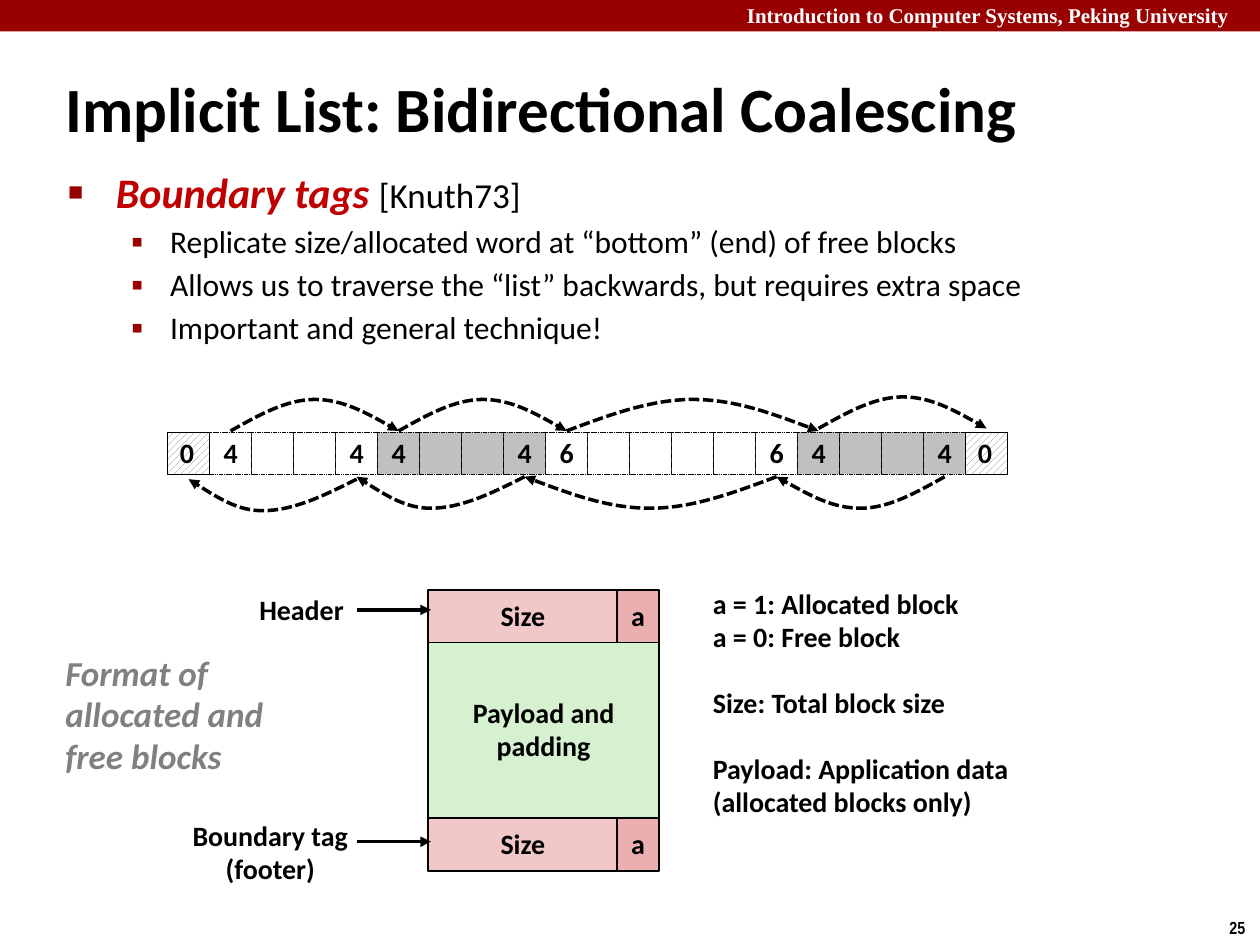
from lxml import etree
from pptx import Presentation
from pptx.dml.color import RGBColor
from pptx.enum.dml import MSO_LINE, MSO_PATTERN
from pptx.enum.shapes import MSO_CONNECTOR, MSO_SHAPE
from pptx.enum.text import MSO_ANCHOR, MSO_AUTO_SIZE, PP_ALIGN
from pptx.oxml.ns import qn
from pptx.util import Inches, Pt

RECTANGLE = MSO_SHAPE.RECTANGLE
STRAIGHT = MSO_CONNECTOR.STRAIGHT
DASH = MSO_LINE.SQUARE_DOT
HATCH = MSO_PATTERN.WIDE_UPWARD_DIAGONAL
MIDDLE, TOP = MSO_ANCHOR.MIDDLE, MSO_ANCHOR.TOP
LEFT, CENTER = PP_ALIGN.LEFT, PP_ALIGN.CENTER
NO_FIT = MSO_AUTO_SIZE.NONE

BLACK = RGBColor(0x00, 0x00, 0x00)
WHITE = RGBColor(0xFF, 0xFF, 0xFF)
BANNER_RED = RGBColor(0x99, 0x00, 0x00)
TERM_RED = RGBColor(0xC0, 0x00, 0x00)
GRAY = RGBColor(0x80, 0x80, 0x80)
ALLOCATED_GRAY = RGBColor(0xC0, 0xC0, 0xC0)
SIZE_PINK = RGBColor(0xF1, 0xC7, 0xC7)
FLAG_PINK = RGBColor(0xEB, 0xAF, 0xAF)
PAYLOAD_GREEN = RGBColor(0xD5, 0xF1, 0xCF)

CELL = 1 / 3
BLOCKS = [(4, False), (4, True), (6, False), (4, True)]


def style_font(font, size, color=BLACK, bold=True, italic=False, name="Calibri"):
    """Set the look of a run's font."""
    font.name, font.size, font.bold, font.italic = name, Pt(size), bold, italic
    font.color.rgb = color


def write_text(shape, text, size=16, align=LEFT, anchor=TOP, spacing=0.98, **look):
    """Write unwrapped lines of text into a shape."""
    frame = shape.text_frame
    frame.text = text
    frame.word_wrap = False
    frame.vertical_anchor = anchor
    for para in frame.paragraphs:
        para.alignment = align
        para.line_spacing = spacing
        for span in para.runs:
            style_font(span.font, size, **look)
    return frame


def add_label(page, box, text, **look):
    """Add a text box at the given box."""
    label = page.shapes.add_textbox(*map(Inches, box))
    return write_text(label, text, **look)


def add_cell(page, box, fill, text="", line_width=1.0, align=CENTER):
    """Add an outlined rectangle; a fill of None gives a hatched one."""
    cell = page.shapes.add_shape(RECTANGLE, *map(Inches, box))
    cell.shadow.inherit = False
    if fill is None:
        cell.fill.patterned()
        cell.fill.pattern = HATCH
        cell.fill.fore_color.rgb, cell.fill.back_color.rgb = GRAY, WHITE
    else:
        cell.fill.solid()
        cell.fill.fore_color.rgb = fill
    cell.line.color.rgb = BLACK
    cell.line.width = Pt(line_width)
    if text:
        write_text(cell, text, align=align, anchor=MIDDLE)
    return cell


def finish_arrow(arrow):
    """Give a line its black stroke and triangle head."""
    arrow.line.color.rgb = BLACK
    arrow.line.width = Pt(2)
    etree.SubElement(arrow.line._get_or_add_ln(), qn("a:tailEnd"), type="triangle")


def add_arc(page, start, end, base, peak, shift=0):
    """Add a dashed arrow that curves from start to end by way of its peak."""
    apex = (start + end) / 2 + shift
    middle = (base + peak) / 2
    rise, fall = (apex - start) / 3, (end - apex) / 3
    points = [(start + rise, middle), (start + 2 * rise, peak), (apex, peak),
              (apex + fall, peak), (apex + 2 * fall, middle), (end, base)]
    builder = page.shapes.build_freeform(Inches(start), Inches(base))
    builder.add_line_segments([(Inches(x), Inches(y)) for x, y in points], close=False)
    arc = builder.convert_to_shape()
    segments = list(arc.element.iter(qn("a:lnTo")))
    outline = segments[0].getparent()
    for first in range(0, len(segments), 3):
        curve = etree.SubElement(outline, qn("a:cubicBezTo"))
        for segment in segments[first:first + 3]:
            curve.append(segment[0])
            outline.remove(segment)
    arc.shadow.inherit = False
    arc.fill.background()
    arc.line.dash_style = DASH
    finish_arrow(arc)


def add_banner(page, box):
    """Add the course banner across the top."""
    left, top, width, height = box
    banner = page.shapes.add_shape(RECTANGLE, *map(Inches, box))
    banner.shadow.inherit = False
    banner.fill.solid()
    banner.fill.fore_color.rgb = BANNER_RED
    banner.line.fill.background()
    add_label(page, (left + 5.83, top - 0.03, 4.24, 0.3),
              "Introduction to Computer Systems, Peking University",
              size=12, color=WHITE, name="Times New Roman", spacing=1.0)


def place(holder, box):
    """Move a placeholder to the given box and stop it from resizing text."""
    holder.left, holder.top, holder.width, holder.height = map(Inches, box)
    holder.text_frame.auto_size = NO_FIT


def fill_title(page, box):
    """Fill the title placeholder."""
    title = page.shapes.title
    place(title, box)
    write_text(title, "Implicit List: Bidirectional Coalescing", size=36,
               anchor=MIDDLE, spacing=1.0)
    title.text_frame.word_wrap = True


def add_bullet(para, mark, percent, margin, hanging):
    """Give a paragraph a red bullet with a hanging indent."""
    properties = para._p.get_or_add_pPr()
    properties.set("marL", str(Inches(margin)))
    properties.set("indent", str(-Inches(hanging)))
    color = etree.SubElement(properties, qn("a:buClr"))
    etree.SubElement(color, qn("a:srgbClr"), val=str(BANNER_RED))
    etree.SubElement(properties, qn("a:buSzPct"), val=str(percent * 1000))
    etree.SubElement(properties, qn("a:buChar"), char=mark)


def fill_body(page, box):
    """Fill the body placeholder with the boundary tag points."""
    body = page.placeholders[1]
    place(body, box)
    frame = body.text_frame
    frame.text = "\n".join([
        "Boundary tags ",
        "Replicate size/allocated word at “bottom” (end) of free blocks",
        "Allows us to traverse the “list” backwards, but requires extra space",
        "Important and general technique!",
    ])
    heading, *points = frame.paragraphs
    add_bullet(heading, "■", 60, 0.38, 0.38)
    heading.line_spacing, heading.space_before = 0.83, Pt(0)
    style_font(heading.runs[0].font, 24, TERM_RED, italic=True)
    citation = heading.add_run()
    citation.text = "[Knuth73]"
    style_font(citation.font, 20, bold=False)
    for para in points:
        para.level = 1
        add_bullet(para, "▪", 110, 0.81, 0.31)
        para.line_spacing, para.space_before = 0.88, Pt(5.6)
        style_font(para.runs[0].font, 18, bold=False)


def add_heap(page, box):
    """Add the row of heap words with forward and backward links."""
    left, top, width, height = box
    x = left + CELL
    headers, footers = [], [left + CELL / 2]
    for size, allocated in BLOCKS:
        fill = ALLOCATED_GRAY if allocated else WHITE
        headers.append(x + CELL / 2)
        for word in range(size):
            tag = str(size) if word in (0, size - 1) else ""
            cell = add_cell(page, (x, top, CELL, height), fill, tag, 0.25)
            cell.line.dash_style = DASH
            x += CELL
        footers.append(x - CELL / 2)
    headers.append(x + CELL / 2)
    for end in (left, x):
        add_cell(page, (end, top, CELL, height), None, "0", 0.25, LEFT)

    forward_lifts = [0.01, 0.01, 0.01, 0.03]
    for start, end, lift in zip(headers, headers[1:], forward_lifts):
        add_arc(page, start, end, top - lift, top - lift - 0.25)
    below = top + height
    backward_drops = [(0.04, -0.08), (0.02, -0.08), (0.02, 0), (0.02, 0)]
    for end, start, (drop, shift) in zip(footers, footers[1:], backward_drops):
        add_arc(page, start, end, below + drop, below + drop + 0.25, shift)


def add_block_format(page, box):
    """Add the block layout with its header, payload and footer."""
    left, top, width, height = box
    row, flag = 0.42, 0.33
    add_cell(page, (left, top + row, width, height - 2 * row), PAYLOAD_GREEN,
             "Payload and\npadding")
    for y, pointer in ((top, top + 0.16), (top + height - row, top + 2.0)):
        add_cell(page, (left, y, width - flag, row), SIZE_PINK, "Size")
        add_cell(page, (left + width - flag, y, flag, row), FLAG_PINK, "a")
        arrow = page.shapes.add_connector(
            STRAIGHT, Inches(left - 0.57), Inches(pointer), Inches(left + 0.02), Inches(pointer))
        etree.SubElement(arrow.element.spPr, qn("a:effectLst"))
        finish_arrow(arrow)
    add_label(page, (left - 1.44, top - 0.01, 0.88, 0.37), "Header")
    add_label(page, (left - 1.98, top + 1.78, 1.45, 0.63), "Boundary tag\n(footer)",
              align=CENTER)
    add_label(page, (left - 2.98, top + 0.46, 1.78, 1.09),
              "Format of\nallocated and\nfree blocks", size=20, color=GRAY, italic=True)


def add_legend(page, box):
    """Add the meanings of the block fields in three groups."""
    legend = add_label(page, box, "a = 1: Allocated block\na = 0: Free block\n"
                       "Size: Total block size\n"
                       "Payload: Application data\n(allocated blocks only)")
    for index in (2, 3):
        legend.paragraphs[index].space_before = Pt(19)


def main():
    """Build the slide and save it."""
    deck = Presentation()
    deck.slide_width, deck.slide_height = Inches(10), Inches(7.5)
    page = deck.slides.add_slide(deck.slide_layouts[1])
    add_banner(page, (0, 0, 10, 0.25))
    fill_title(page, (0.42, 0.54, 9.58, 0.63))
    fill_body(page, (0.44, 1.34, 9.09, 1.45))
    add_heap(page, (1.33, 3.43, 20 * CELL, CELL))
    add_block_format(page, (3.4, 4.68, 1.83, 2.23))
    add_legend(page, (5.56, 4.62, 2.57, 2.22))
    add_label(page, (9.66, 7.23, 0.34, 0.27), "25", size=10, name="Arial Narrow", spacing=1.0)
    deck.save("out.pptx")


if __name__ == "__main__":
    main()
